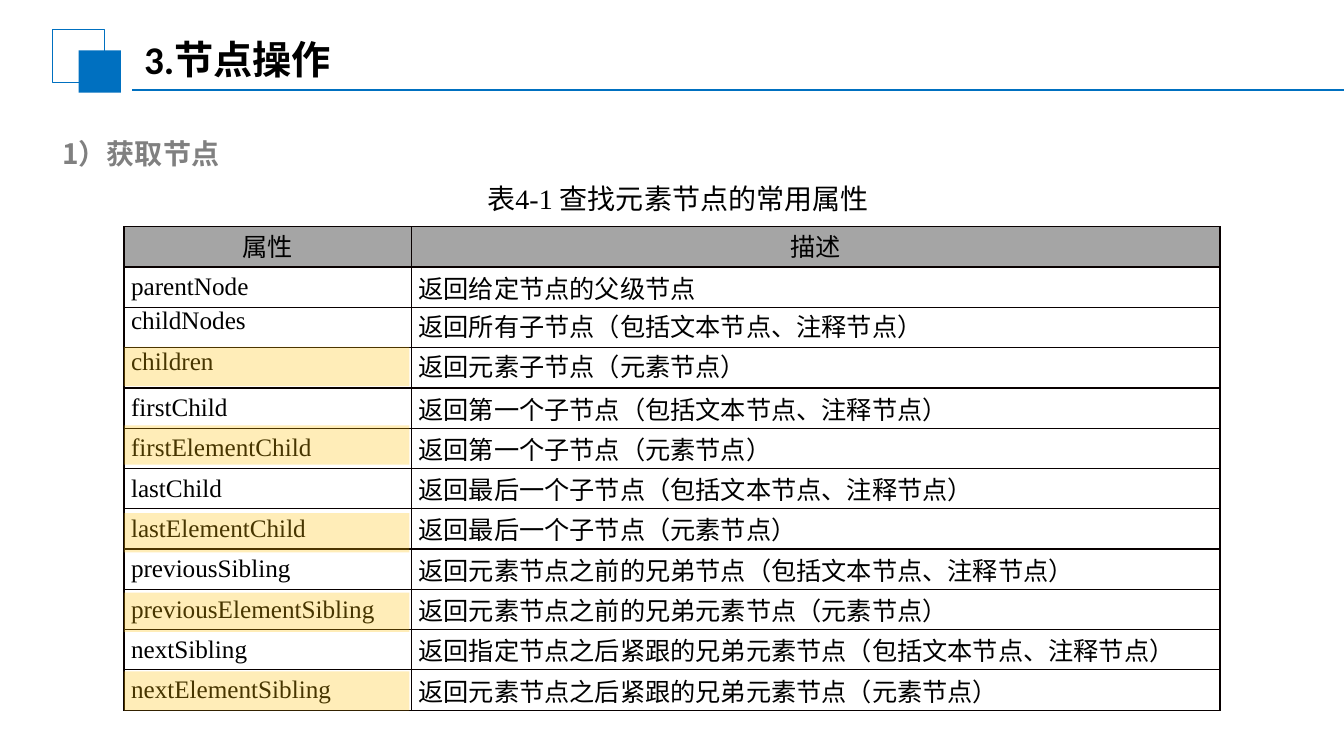
from dataclasses import dataclass

from lxml.etree import SubElement as Sub
from pptx import Presentation
from pptx.dml.color import RGBColor as RGB
from pptx.enum.shapes import MSO_CONNECTOR as Link, MSO_SHAPE as Shape
from pptx.enum.text import MSO_ANCHOR as Anchor, PP_ALIGN as Align
from pptx.oxml.ns import qn
from pptx.util import Inches, Pt


@dataclass(frozen=True)
class Theme:
    """Colours, fonts and type sizes of the slide."""
    blue: str = "0070C0"
    black: str = "000000"
    grey: str = "808080"
    head: str = "A5A5A5"
    edge: str = "080000"
    gold: str = "FFC000"
    sans: str = "Noto Sans CJK SC"
    serif: str = "Times New Roman"
    title: str = "Calibri"
    big: int = 28
    mid: int = 20
    body: int = 18


THEME = Theme()
ROWS = [
    ("属性", "描述"),
    ("parentNode", "返回给定节点的父级节点"),
    ("childNodes", "返回所有子节点（包括文本节点、注释节点）"),
    ("children", "返回元素子节点（元素节点）"),
    ("firstChild", "返回第一个子节点（包括文本节点、注释节点）"),
    ("firstElementChild", "返回第一个子节点（元素节点）"),
    ("lastChild", "返回最后一个子节点（包括文本节点、注释节点）"),
    ("lastElementChild", "返回最后一个子节点（元素节点）"),
    ("previousSibling", "返回元素节点之前的兄弟节点（包括文本节点、注释节点）"),
    ("previousElementSibling", "返回元素节点之前的兄弟元素节点（元素节点）"),
    ("nextSibling", "返回指定节点之后紧跟的兄弟元素节点（包括文本节点、注释节点）"),
    ("nextElementSibling", "返回元素节点之后紧跟的兄弟元素节点（元素节点）"),
]
TOP_ROWS = (0, 2, 3)
MARKS = (3.44, 4.22, 5.09, 5.88, 6.66)


def style(para, face, size, color, bold=False):
    """Format every run of a paragraph."""
    for run in para.runs:
        font = run.font
        font.name, font.size, font.bold = face, Pt(size), bold
        font.color.rgb = RGB.from_string(color)
        Sub(run._r.get_or_add_rPr(), qn("a:ea"), typeface=THEME.sans)


def add_text(slide, box, text, face, size, color, bold=False):
    """Add a one-line text box and return it."""
    shape = slide.shapes.add_textbox(*map(Inches, box))
    frame = shape.text_frame
    frame.word_wrap = True
    frame.text = text
    style(frame.paragraphs[0], face, size, color, bold)
    return shape


def add_rect(slide, box, fill=None, line=None, alpha=None):
    """Add a rectangle with an optional fill, outline and opacity."""
    shape = slide.shapes.add_shape(Shape.RECTANGLE, *map(Inches, box))
    shape.shadow.inherit = False
    if fill:
        shape.fill.solid()
        shape.fill.fore_color.rgb = RGB.from_string(fill)
    else:
        shape.fill.background()
    if line:
        shape.line.color.rgb = RGB.from_string(line)
        shape.line.width = Pt(0.75)
    else:
        shape.line.fill.background()
    if alpha:
        tint = shape._element.spPr.find(".//" + qn("a:srgbClr"))
        Sub(tint, qn("a:alpha"), val=str(alpha * 1000))


def add_rule(slide, left, right, top):
    """Add the horizontal rule under the title."""
    rule = slide.shapes.add_connector(
        Link.STRAIGHT, Inches(left), Inches(top), Inches(right), Inches(top))
    rule.line.color.rgb = RGB.from_string(THEME.blue)
    rule.line.width = Pt(1.25)
    Sub(rule._element.spPr, qn("a:effectLst"))


def add_edges(cell):
    """Draw the four borders of a cell."""
    props = cell._tc.get_or_add_tcPr()
    for side in "LRTB":
        line = Sub(props, qn("a:ln" + side), w=str(Pt(1)))
        Sub(Sub(line, qn("a:solidFill")), qn("a:srgbClr"), val=THEME.edge)


def fill_cell(cell, text, row, face):
    """Write and format one table cell."""
    cell.margin_left = cell.margin_right = Inches(0.07)
    cell.margin_top = cell.margin_bottom = 0
    cell.vertical_anchor = Anchor.TOP if row in TOP_ROWS else Anchor.MIDDLE
    cell.text_frame.text = text
    para = cell.text_frame.paragraphs[0]
    style(para, face, THEME.body, THEME.black)
    add_edges(cell)
    if row == 0:
        para.alignment = Align.CENTER
        cell.fill.solid()
        cell.fill.fore_color.rgb = RGB.from_string(THEME.head)
    else:
        cell.fill.background()


def add_grid(slide, box, widths):
    """Add the table of node properties."""
    table = slide.shapes.add_table(
        len(ROWS), len(widths), *map(Inches, box)).table
    for col, width in zip(table.columns, widths):
        col.width = Inches(width)
    for row, texts in enumerate(ROWS):
        table.rows[row].height = Inches(box[3] / len(ROWS))
        face = THEME.serif if row else THEME.sans
        for col, text in enumerate(texts):
            fill_cell(table.cell(row, col), text, row, face)


def main():
    """Build the slide and save it."""
    deck = Presentation()
    deck.slide_width, deck.slide_height = Inches(13.33), Inches(7.5)
    slide = deck.slides.add_slide(deck.slide_layouts[6])
    add_rect(slide, (0.52, 0.29, 0.52, 0.53), line=THEME.blue)
    add_rect(slide, (0.78, 0.5, 0.42, 0.42), fill=THEME.blue)
    add_rule(slide, 1.31, 13.33, 0.89)
    title = add_text(slide, (1.3, 0.29, 7.89, 0.58), "3.节点操作",
                     THEME.title, THEME.big, THEME.black, True).text_frame
    title.vertical_anchor = Anchor.MIDDLE
    title.margin_left = title.margin_right = Inches(0.13)
    title.margin_top = title.margin_bottom = Inches(0.07)
    add_text(slide, (0.52, 1.31, 5.56, 0.44), "1）获取节点",
             THEME.sans, THEME.mid, THEME.grey, True)
    label = add_text(slide, (2.81, 1.75, 7.54, 0.44),
                     "表4-1 查找元素节点的常用属性",
                     THEME.serif, THEME.mid, THEME.black)
    para = label.text_frame.paragraphs[0]
    para.alignment = Align.CENTER
    para._p.get_or_add_pPr().set("indent", str(Inches(0.29)))
    add_grid(slide, (1.23, 2.25, 10.87, 4.8), (2.85, 8.02))
    for top in MARKS:
        add_rect(slide, (1.23, top, 2.83, 0.39), fill=THEME.gold, alpha=28)
    deck.save("out.pptx")


if __name__ == "__main__":
    main()
